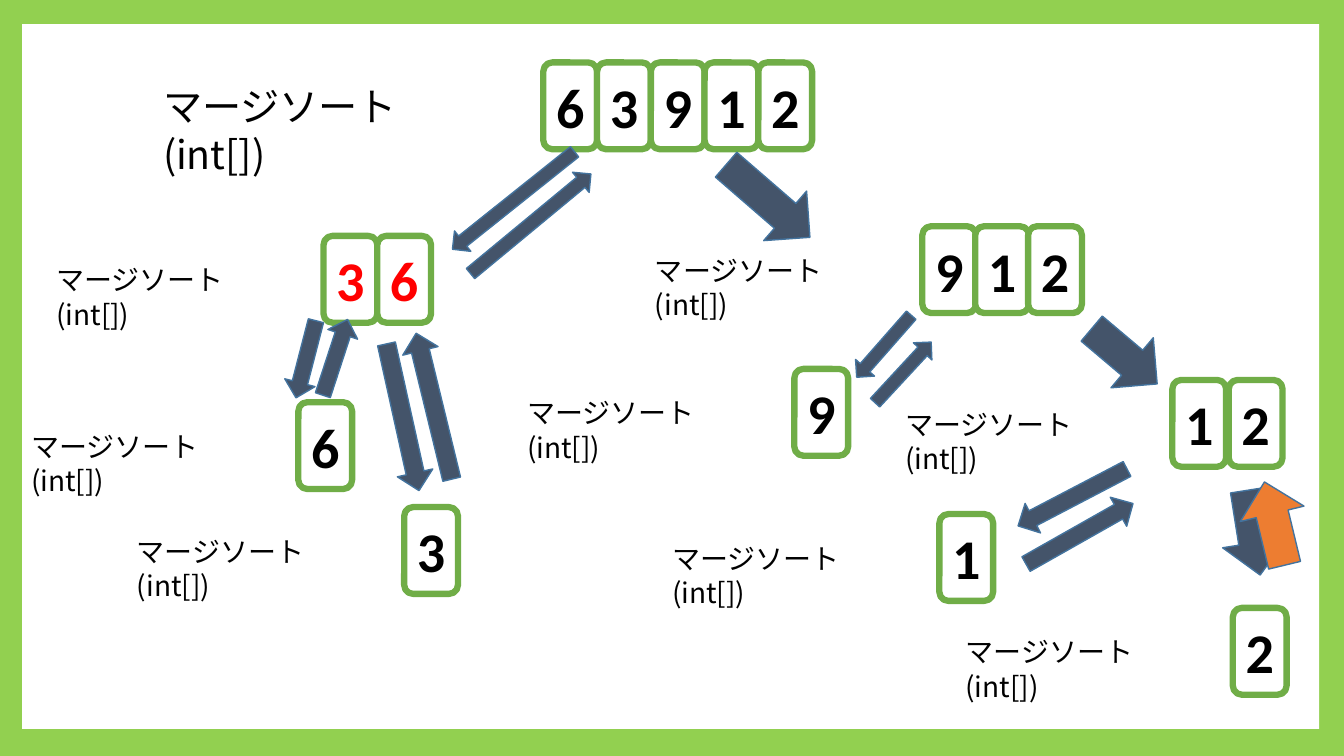
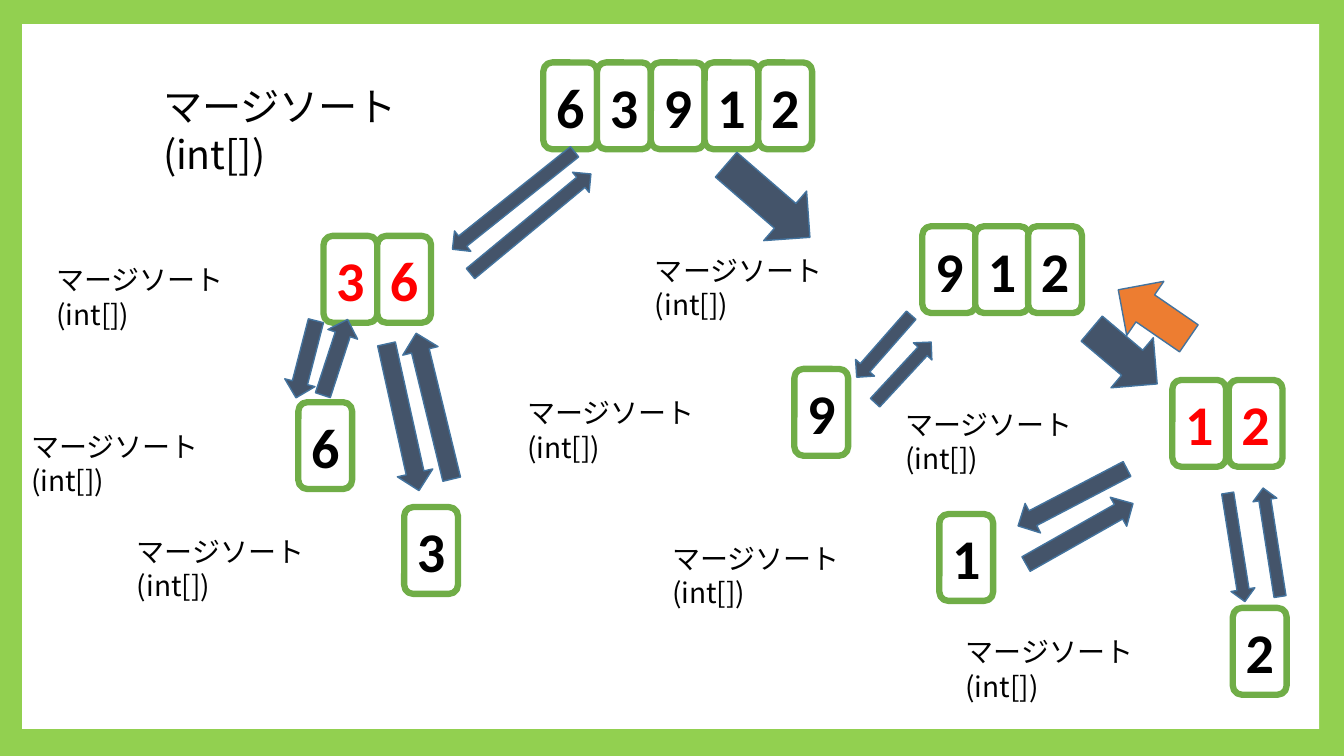
from pptx import Presentation
from pptx.dml.color import RGBColor
from pptx.enum import shapes, text
from pptx.oxml import ns
from pptx.util import Pt
from lxml import etree

LIME = RGBColor(0x92, 0xD0, 0x50)
GREEN = RGBColor(0x70, 0xAD, 0x47)
SLATE = RGBColor(0x44, 0x54, 0x6A)
BLUE = RGBColor(0x43, 0x73, 0x9E)
ORANGE = RGBColor(0xED, 0x7D, 0x31)
RED = RGBColor(0xFF, 0, 0)
BLACK = RGBColor(0, 0, 0)
WHITE = RGBColor(0xFF, 0xFF, 0xFF)

DIGIT_FONT = "Calibri"
LABEL_FONT = "Noto Sans CJK JP"
CALL_LINES = ("マージソート", "(int[])")

CELL_WIDTH, CELL_HEIGHT = 38.4, 62
LABEL_OFFSET, LABEL_DROP, LABEL_WIDTH = 198, 15.4, 189.4
LINE_RATIO = 1.22

BLOCK = (61.2, 46.8)
ROOT_BLOCK = (79.2, 46.8)
ROOT_THIN = (111.6, 18.7)
NINE_THIN = (59, 18)
THREE_THIN = (107.3, 25.9)
SIX_THIN = (56.9, 22.3)
ONE_THIN = (87.8, 23.8)
TWO_THIN = (78.5, 17.3)

ROOT = ("63912", 388.1, 44.6, 38.4)
LEFT_HALF = ("36", 231.1, 168.5, 38.4)
LAST_PAIR = ("12", 837.4, 271.4, 40.3)
BRANCHES = [
    ("6", 213.1, 287.3, 0),
    ("3", 288.7, 362.2, 0),
    ("912", 658.8, 161.6, 37.8),
    ("9", 567.4, 263.5, 0),
    ("1", 671, 367.2, 0),
    ("2", 880.6, 434.2, 0),
]

SHARED_ARROWS = [
    (509, 120.2, ROOT_BLOCK, 40.9),
    (772.6, 231.1, BLOCK, 40.2),
    (601.9, 238.3, NINE_THIN, 131.3),
    (311, 133.9, ROOT_THIN, 141.4),
    (234, 285.1, THREE_THIN, 77.5),
    (190.1, 245.5, SIX_THIN, 104.5),
    (211, 244.1, SIX_THIN, 288.1),
    (256.3, 277.2, THREE_THIN, 256.3),
    (323.3, 150.5, ROOT_THIN, 320.4),
    (615.6, 257, NINE_THIN, 312.8),
    (722.2, 343.4, ONE_THIN, 152.4),
    (727.2, 369.4, ONE_THIN, 330.5),
]

STEPS = [
    {
        "pair_color": BLACK,
        "arrows": [(864.7, 357.1, BLOCK, 81)],
        "returning": (879.8, 350.6, BLOCK, 256.4),
    },
    {
        "pair_color": RED,
        "arrows": [(843.8, 382.3, TWO_THIN, 81), (869, 378.7, TWO_THIN, 261.1)],
        "returning": (793.4, 200.9, BLOCK, 214.5),
    },
]


def add_panel(page, kind, left, top, width, height, fill, line=None, weight=1):
    panel = page.shapes.add_shape(kind, Pt(left), Pt(top), Pt(width), Pt(height))
    panel.shadow.inherit = False
    panel.fill.solid()
    panel.fill.fore_color.rgb = fill
    if line is None:
        panel.line.fill.background()
    else:
        panel.line.color.rgb = line
        panel.line.width = Pt(weight)
    return panel


def add_span(para, content, font_name, size, color, bold=False):
    span = para.add_run()
    span.text = content
    span.font.name = font_name
    span.font.size = Pt(size)
    span.font.color.rgb = color
    span.font.bold = bold
    east_asian = etree.SubElement(span.font._element, ns.qn("a:ea"))
    east_asian.set("typeface", font_name)


def add_cell(page, digit, left, top, color):
    cell = add_panel(page, shapes.MSO_SHAPE.ROUNDED_RECTANGLE, left, top,
                     CELL_WIDTH, CELL_HEIGHT, WHITE, GREEN, 4.5)
    cell.text_frame.vertical_anchor = text.MSO_ANCHOR.MIDDLE
    para = cell.text_frame.paragraphs[0]
    para.alignment = text.PP_ALIGN.CENTER
    add_span(para, digit, DIGIT_FONT, 40, color, True)


def add_cells(page, digits, left, top, pitch, color):
    for index, digit in enumerate(digits):
        add_cell(page, digit, left + index * pitch, top, color)


def add_label(page, left, top, width, size):
    line_height = size * LINE_RATIO
    box = page.shapes.add_textbox(Pt(left), Pt(top), Pt(width),
                                  Pt(len(CALL_LINES) * line_height + 7.2))
    box.text_frame.word_wrap = True
    para = box.text_frame.paragraphs[0]
    para.line_spacing = Pt(line_height)
    for index, line in enumerate(CALL_LINES):
        if index:
            para.add_line_break()
        add_span(para, line, LABEL_FONT, size, BLACK)


def add_call(page, digits, left, top, pitch, color=BLACK):
    add_cells(page, digits, left, top, pitch, color)
    add_label(page, left - LABEL_OFFSET, top + LABEL_DROP, LABEL_WIDTH, 20)


def add_arrow(page, left, top, size, angle, fill=SLATE):
    arrow = add_panel(page, shapes.MSO_SHAPE.RIGHT_ARROW, left, top, *size, fill, BLUE)
    arrow.rotation = angle


def style_master(deck, page):
    master = deck.slide_master
    master.background.fill.solid()
    master.background.fill.fore_color.rgb = LIME
    panel = add_panel(page, shapes.MSO_SHAPE.RECTANGLE, 15.8, 17.3, 926.6, 503.3, WHITE)
    panel._element.nvSpPr.cNvPr.set("id", "99")
    master.shapes._spTree.insert(2, panel._element)


def draw_step(page, step):
    add_cells(page, *ROOT, BLACK)
    add_label(page, 109.4, 54.7, 259.2, 28)
    add_call(page, *LEFT_HALF, RED)
    for branch in BRANCHES:
        add_call(page, *branch)
    add_call(page, *LAST_PAIR, step["pair_color"])
    for arrow in SHARED_ARROWS + step["arrows"]:
        add_arrow(page, *arrow)
    add_arrow(page, *step["returning"], ORANGE)


def main():
    deck = Presentation()
    deck.slide_width, deck.slide_height = Pt(960), Pt(540)
    pages = [deck.slides.add_slide(deck.slide_layouts[6]) for _ in STEPS]
    style_master(deck, pages[0])
    for page, step in zip(pages, STEPS):
        draw_step(page, step)
    deck.save("out.pptx")


if __name__ == "__main__":
    main()
